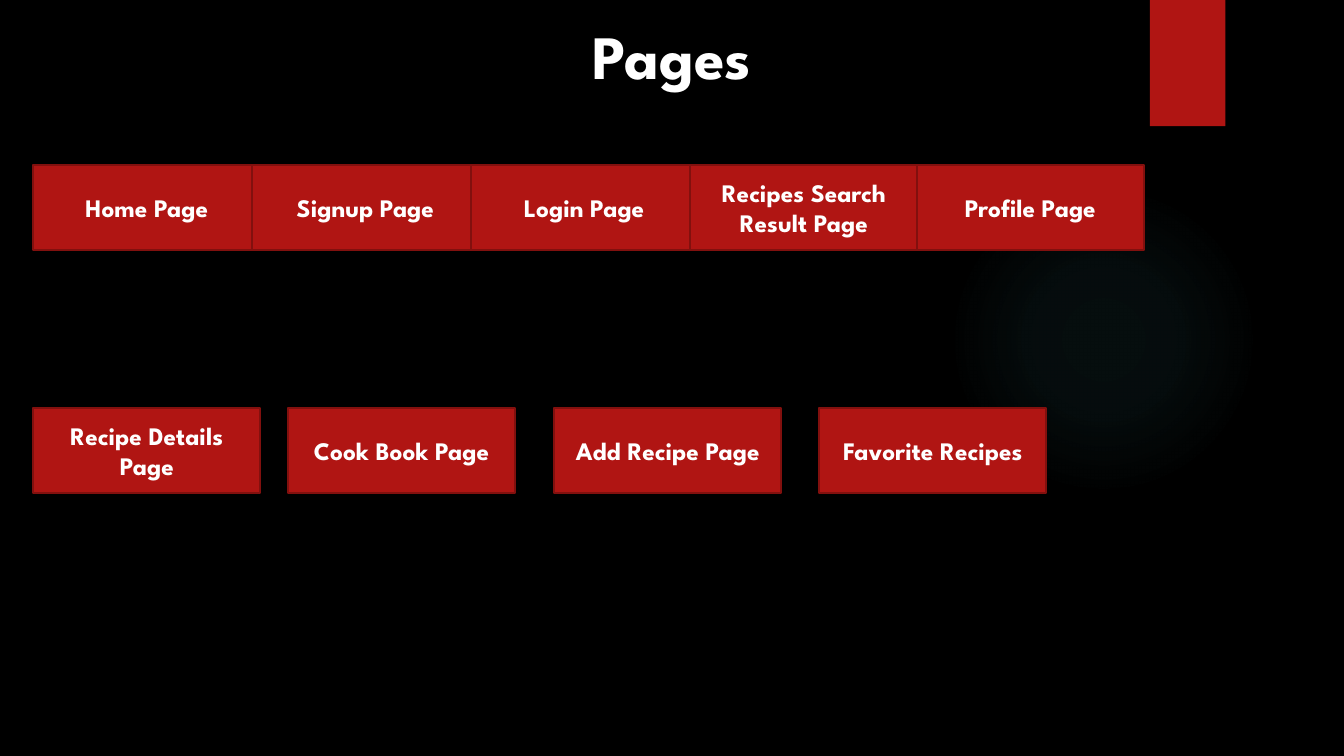
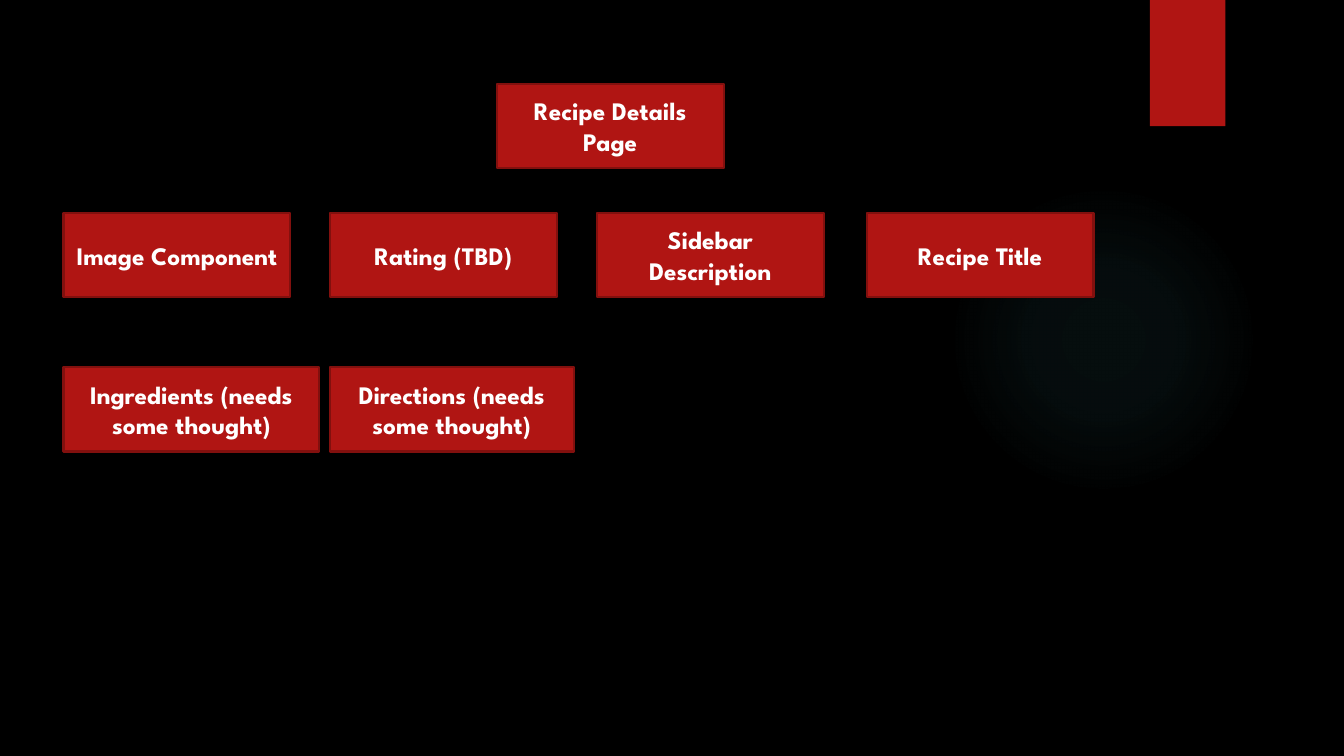
from pptx import Presentation
from pptx.dml.color import RGBColor
from pptx.enum.shapes import MSO_SHAPE
from pptx.enum.text import MSO_ANCHOR, MSO_AUTO_SIZE, PP_ALIGN
from pptx.oxml import parse_xml
from pptx.oxml.ns import nsdecls
from pptx.util import Cm, Pt

RECT, OVAL = MSO_SHAPE.RECTANGLE, MSO_SHAPE.OVAL
TOP, MIDDLE = MSO_ANCHOR.TOP, MSO_ANCHOR.MIDDLE
CENTER = PP_ALIGN.CENTER
GROW = MSO_AUTO_SIZE.SHAPE_TO_FIT_TEXT
TITLE_ONLY, BLANK = 5, 6

FONT = "League Spartan"
BLACK, WHITE, RED, DARK_RED, TEAL = "000000", "FFFFFF", "B01513", "82100E", "50B9C1"
SLIDE_WIDTH, SLIDE_HEIGHT = 33.87, 19.05
BOX_WIDTH, BOX_HEIGHT = 5.72, 2.13
GLOW_STOPS = [(0, 7), (36, 6), (69, 0)]  # position and opacity, in percent

# Each row: top, then boxes as (left, label) or (left, label, width), in cm
SLIDES = [
    ("Pages", [
        (4.17, [(0.84, "Home Page"), (6.35, "Signup Page"), (11.86, "Login Page"),
                (17.4, "Recipes Search Result Page"), (23.11, "Profile Page")]),
        (10.29, [(0.84, "Recipe Details Page"), (7.26, "Cook Book Page"),
                 (13.97, "Add Recipe Page"), (20.65, "Favorite Recipes")]),
    ]),
    (None, [
        (2.11, [(12.52, "Recipe Details Page")]),
        (5.36, [(1.6, "Image Component"), (8.31, "Rating (TBD)"),
                (15.04, "Sidebar Description"), (21.84, "Recipe Title")]),
        (9.25, [(1.6, "Ingredients (needs some thought)", 6.45),
                (8.31, "Directions (needs some thought)", 6.15)]),
    ]),
]


def color(hex_code):
    """Turn a hex string into a colour."""
    return RGBColor.from_string(hex_code)


def add_plain(slide, kind, left, top, width, height, fill=RED):
    """Add a filled shape with neither outline nor shadow."""
    shape = slide.shapes.add_shape(kind, Cm(left), Cm(top), Cm(width), Cm(height))
    shape.shadow.inherit = False
    shape.fill.solid()
    shape.fill.fore_color.rgb = color(fill)
    shape.line.fill.background()
    return shape


def write(frame, text, size, anchor):
    """Write one centred bold white line of text into a frame."""
    frame.word_wrap = True
    frame.vertical_anchor = anchor
    paragraph = frame.paragraphs[0]
    paragraph.alignment = CENTER
    run = paragraph.add_run()
    run.text = text
    run.font.name, run.font.size, run.font.bold = FONT, Pt(size), True
    run.font.color.rgb = color(WHITE)


def add_glow(slide):
    """Add the faint round glow on the right."""
    properties = add_plain(slide, OVAL, 23.9, 4.65, 7.82, 7.82, TEAL)._element.spPr
    stops = "".join(
        f'<a:gs pos="{position * 1000}"><a:srgbClr val="{TEAL}">'
        f'<a:alpha val="{opacity * 1000}"/></a:srgbClr></a:gs>'
        for position, opacity in GLOW_STOPS)
    gradient = parse_xml(
        f'<a:gradFill {nsdecls("a")} rotWithShape="1"><a:gsLst>{stops}</a:gsLst>'
        '<a:path path="circle"><a:fillToRect l="50000" t="50000" r="50000" b="50000"/>'
        '</a:path></a:gradFill>')
    properties.replace(properties.find("{*}solidFill"), gradient)


def add_ribbon(slide):
    """Add the red ribbon at the top edge with its soft shadow."""
    properties = add_plain(slide, RECT, 28.98, 0, 1.9, 3.18)._element.spPr
    properties.find("{*}effectLst").append(parse_xml(
        f'<a:outerShdw {nsdecls("a")} blurRad="{Pt(3)}" dist="{Pt(2)}" dir="5400000">'
        f'<a:srgbClr val="{BLACK}"><a:alpha val="45000"/></a:srgbClr></a:outerShdw>'))


def add_title(slide, text):
    """Place and fill the title across the full slide width."""
    title = slide.shapes.title
    title.left, title.top = Cm(0), Cm(0.33)
    title.width, title.height = Cm(SLIDE_WIDTH), Cm(2.13)
    write(title.text_frame, text, 44, TOP)
    title.text_frame.auto_size = GROW


def add_box(slide, top, left, label, width=BOX_WIDTH):
    """Add one labelled red box."""
    box = add_plain(slide, RECT, left, top, width, BOX_HEIGHT)
    box.line.color.rgb = color(DARK_RED)
    box.line.width = Pt(1.5)
    write(box.text_frame, label, 18, MIDDLE)


def build():
    """Build and save the presentation."""
    deck = Presentation()
    deck.slide_width, deck.slide_height = Cm(SLIDE_WIDTH), Cm(SLIDE_HEIGHT)
    backdrop = deck.slide_master.background.fill
    backdrop.solid()
    backdrop.fore_color.rgb = color(BLACK)
    for heading, rows in SLIDES:
        slide = deck.slides.add_slide(deck.slide_layouts[TITLE_ONLY if heading else BLANK])
        add_glow(slide)
        add_ribbon(slide)
        if heading:
            add_title(slide, heading)
        for top, boxes in rows:
            for box in boxes:
                add_box(slide, top, *box)
    deck.save("out.pptx")


build()
